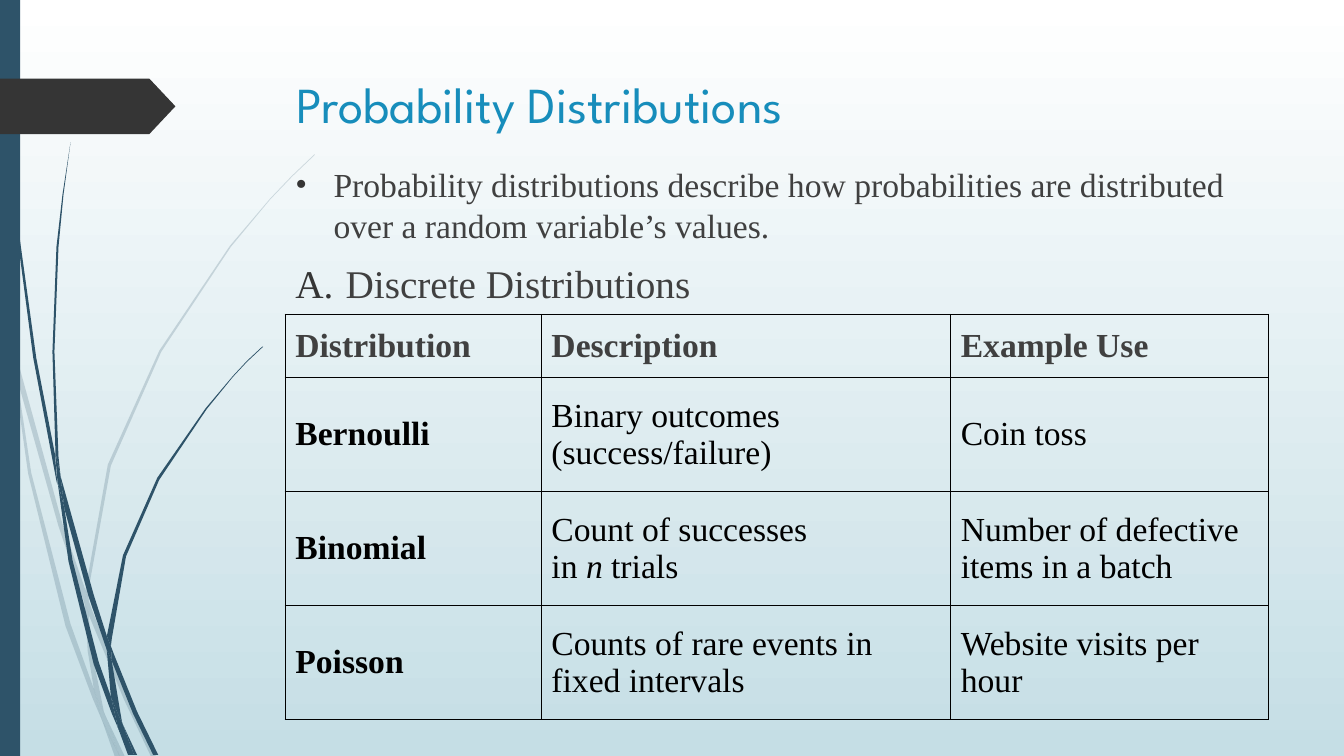
from lxml import etree
from pptx import Presentation, util as u
from pptx.dml.color import RGBColor
from pptx.enum import shapes, text
from pptx.oxml.ns import qn

WIDTH, HEIGHT = u.Inches(13.33), u.Inches(7.5)
COLUMNS, ROWS = 1333, 750
SERIF, HEADING = "Times New Roman", "League Spartan"
NAVY, CHARCOAL, GREY, BLACK = "2E5369", "353535", "404040", "000000"
HARD_SPACE = chr(160)

PALE_BLADES = [
    [(11, 350), (9, 322), (0, 282), (0, 299), (10, 344)],
    [(58, 522), (84, 599), (85, 586), (62, 520), (14, 345), (17, 376)],
    [(92, 607), (88, 596), (88, 610), (123, 694), (150, 751), (155, 751), (127, 692)],
    [(119, 751), (124, 751), (105, 711)],
    [(93, 683), (70, 619), (31, 469), (17, 376), (11, 350), (28, 470), (65, 621), (92, 693),
     (101, 714), (99, 707)],
    [(84, 599), (87, 646), (93, 683), (96, 692), (105, 711), (103, 706), (91, 646), (88, 610), (88, 608)],
    [(88, 584), (110, 462), (160, 349), (229, 245), (268, 198), (290, 175), (312, 154), (312, 153),
     (289, 175), (268, 197), (228, 244), (158, 348), (107, 461), (85, 584), (85, 586), (88, 596)],
    [(101, 714), (114, 751), (119, 751)],
    [(88, 608), (88, 610), (88, 596), (85, 586), (84, 599)],
    [(96, 692), (93, 683), (99, 707), (101, 714), (119, 751), (105, 711)],
]
DARK_BLADES = [
    [(7, 110), (17, 233), (33, 355), (56, 477), (57, 481), (55, 457), (55, 453), (36, 355), (19, 232),
     (8, 109), (5, 48), (4, 0), (3, 0), (4, 48)],
    [(88, 592), (106, 645), (106, 633), (106, 631), (93, 590), (60, 472), (64, 505)],
    [(113, 649), (110, 641), (111, 656), (132, 708), (152, 749), (157, 749), (136, 706)],
    [(110, 691), (98, 657), (72, 556), (64, 505), (57, 477), (68, 557), (93, 659), (111, 708),
     (117, 722), (116, 717)],
    [(60, 472), (58, 453), (54, 349), (58, 245), (63, 193), (70, 141), (62, 193), (56, 245), (52, 349),
     (55, 449)],
    [(133, 749), (136, 749), (122, 719)],
    [(57, 477), (64, 505), (60, 472), (55, 449), (55, 453)],
    [(111, 633), (125, 552), (158, 476), (205, 406), (231, 374), (245, 359), (261, 344), (260, 344),
     (245, 358), (231, 373), (204, 405), (156, 474), (122, 551), (106, 631), (110, 641)],
    [(117, 722), (127, 749), (131, 749)],
    [(106, 645), (110, 691), (116, 706), (122, 719), (121, 716), (111, 656), (109, 651)],
    [(106, 645), (109, 651), (111, 656), (110, 641), (106, 631), (106, 633)],
    [(116, 706), (110, 691), (116, 717), (117, 722), (130, 749), (133, 749), (122, 719)],
]

INTRO = "Probability distributions describe how probabilities are distributed over a random variable’s values."
DISTRIBUTIONS = [
    ["Distribution", "Description", "Example Use"],
    ["Bernoulli", "Binary outcomes (success/failure)", "Coin toss"],
    ["Binomial", ["Count of successes in" + HARD_SPACE, "n", HARD_SPACE + "trials"],
     "Number of defective items in a batch"],
    ["Poisson", "Counts of rare events in fixed intervals", "Website visits per hour"],
]
COLUMN_SHARES = [254, 406, 315]
ROW_SHARES = [62, 113, 113, 113]


def rgb(color):
    return RGBColor.from_string(color)


def place(column, row, columns, rows):
    return (round(WIDTH * column / COLUMNS), round(HEIGHT * row / ROWS),
            round(WIDTH * columns / COLUMNS), round(HEIGHT * rows / ROWS))


def write(paragraph, words, size=24, font=SERIF, color=GREY, bold=False, italic=False, before=0):
    run = paragraph.add_run()
    run.text = words
    run.font.size = u.Pt(size)
    run.font.name = font
    run.font.bold = bold
    run.font.italic = italic
    run.font.color.rgb = rgb(color)
    paragraph.space_before = u.Pt(before)


def add_marker(paragraph, tag, indent, **marker):
    properties = paragraph._p.get_or_add_pPr()
    properties.set("marL", str(u.Inches(indent)))
    properties.set("indent", str(-u.Inches(indent)))
    tint = etree.SubElement(properties, qn("a:buClr"))
    etree.SubElement(tint, qn("a:srgbClr"), val=CHARCOAL)
    etree.SubElement(properties, qn("a:buFont"), typeface=SERIF)
    etree.SubElement(properties, qn(tag), **marker)


def paint(part, color, opacity=100):
    part.shadow.inherit = False
    part.fill.solid()
    part.fill.fore_color.rgb = rgb(color)
    part.line.fill.background()
    if opacity < 100:
        tint = part.fill._xPr.find(".//" + qn("a:srgbClr"))
        etree.SubElement(tint, qn("a:alpha"), val=str(opacity * 1000))


def draw_blades(slide, box, blades, opacity):
    left, top, width, height = place(*box)
    for blade in blades:
        outline = [(left + x * width / box[2], top + y * height / box[3]) for x, y in blade]
        builder = slide.shapes.build_freeform(*outline[0])
        builder.add_line_segments(outline[1:])
        paint(builder.convert_to_shape(), NAVY, opacity)


def draw_side(slide, box):
    draw_blades(slide, box, PALE_BLADES, 20)
    draw_blades(slide, box, DARK_BLADES, 100)
    left, top, _, rows = box
    band = slide.shapes.add_shape(shapes.MSO_SHAPE.RECTANGLE, *place(left, top, 20, rows))
    paint(band, NAVY)
    pointer = slide.shapes.add_shape(shapes.MSO_SHAPE.PENTAGON, *place(left, top + 78, 174, 55))
    pointer.adjustments[0] = 0.47
    paint(pointer, CHARCOAL)


def draw_title(slide, box):
    title = slide.shapes.title
    title.left, title.top, title.width, title.height = place(*box)
    frame = title.text_frame
    frame.vertical_anchor = text.MSO_ANCHOR.TOP
    heading = frame.paragraphs[0]
    heading.alignment = text.PP_ALIGN.LEFT
    write(heading, "Probability Distributions", size=36, font=HEADING, color="178DBB")


def draw_intro(slide, box):
    frame = slide.shapes.add_textbox(*place(*box)).text_frame
    frame.word_wrap = True
    intro = frame.paragraphs[0]
    add_marker(intro, "a:buChar", 0.38, char="•")
    write(intro, INTRO)
    section = frame.add_paragraph()
    add_marker(section, "a:buAutoNum", 0.5, type="alphaUcPeriod")
    write(section, "Discrete Distributions", size=28, before=10)


def outline_cell(cell):
    properties = cell._tc.get_or_add_tcPr()
    for index, side in enumerate(("a:lnL", "a:lnR", "a:lnT", "a:lnB")):
        border = etree.Element(qn(side), w=str(u.Pt(1)))
        fill = etree.SubElement(border, qn("a:solidFill"))
        etree.SubElement(fill, qn("a:srgbClr"), val=BLACK)
        properties.insert(index, border)


def draw_distributions(slide, box):
    left, top, width, height = place(*box)
    table = slide.shapes.add_table(len(ROW_SHARES), len(COLUMN_SHARES), left, top, width, height).table
    for column, share in zip(table.columns, COLUMN_SHARES):
        column.width = round(width * share / sum(COLUMN_SHARES))
    for row, share in zip(table.rows, ROW_SHARES):
        row.height = round(height * share / sum(ROW_SHARES))
    for r, entries in enumerate(DISTRIBUTIONS):
        for c, entry in enumerate(entries):
            cell = table.cell(r, c)
            cell.fill.background()
            cell.vertical_anchor = text.MSO_ANCHOR.MIDDLE
            outline_cell(cell)
            for words in [entry] if isinstance(entry, str) else entry:
                write(cell.text_frame.paragraphs[0], words, color=BLACK if r else GREY,
                      bold=r == 0 or c == 0, italic=words == "n")


def draw_background(slide):
    fill = slide.background.fill
    fill.gradient()
    fill.gradient_angle = 270
    for stop, color in zip(fill.gradient_stops, ("FFFFFF", "C5DEE5")):
        stop.color.rgb = rgb(color)


def main():
    deck = Presentation()
    deck.slide_width, deck.slide_height = WIDTH, HEIGHT
    slide = deck.slides.add_slide(deck.slide_layouts[5])
    draw_background(slide)
    draw_side(slide, (0, 0, 312, 750))
    draw_title(slide, (284, 68, 975, 140))
    draw_intro(slide, (283, 158, 975, 488))
    draw_distributions(slide, (283, 312, 975, 402))
    deck.save("out.pptx")


if __name__ == "__main__":
    main()
